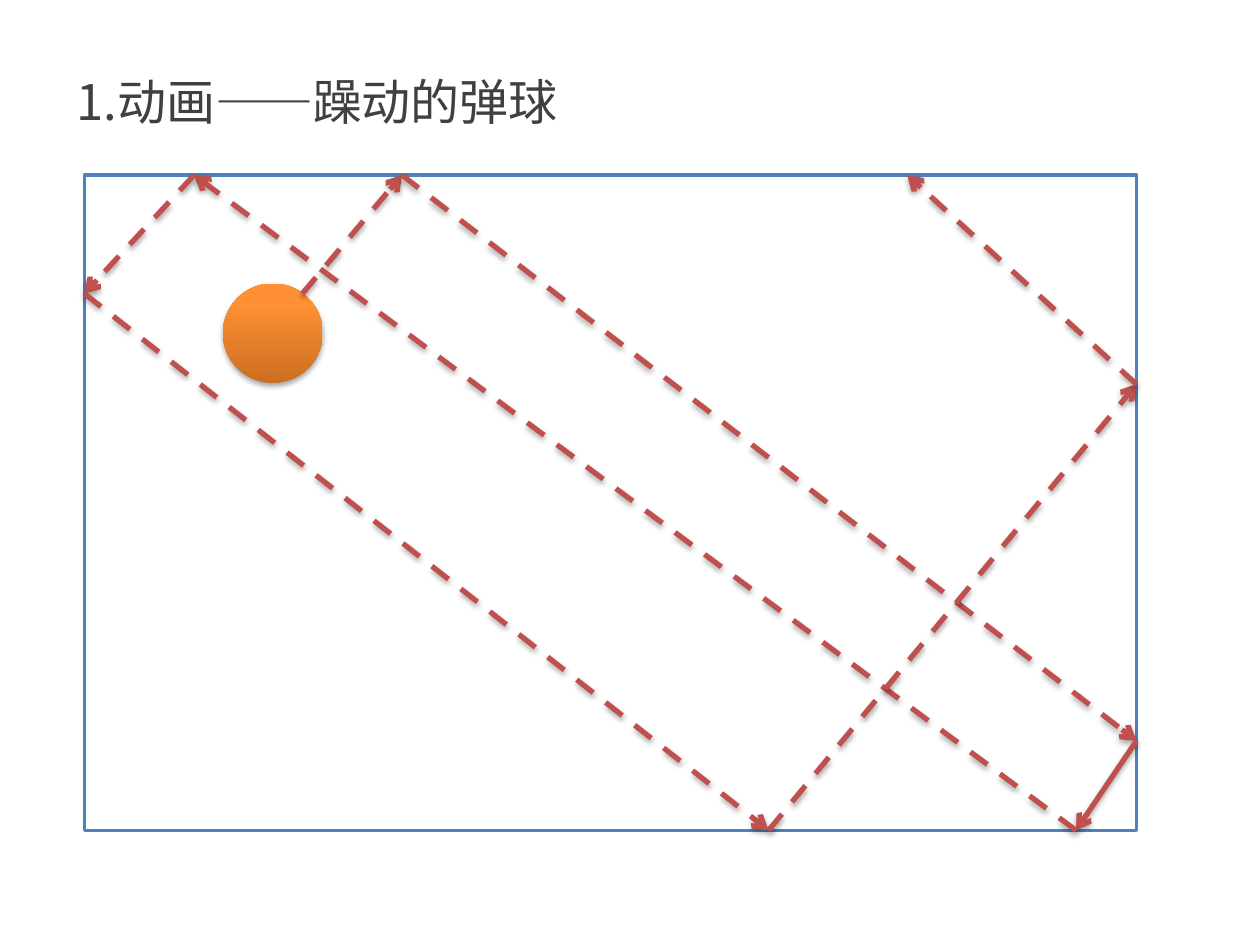
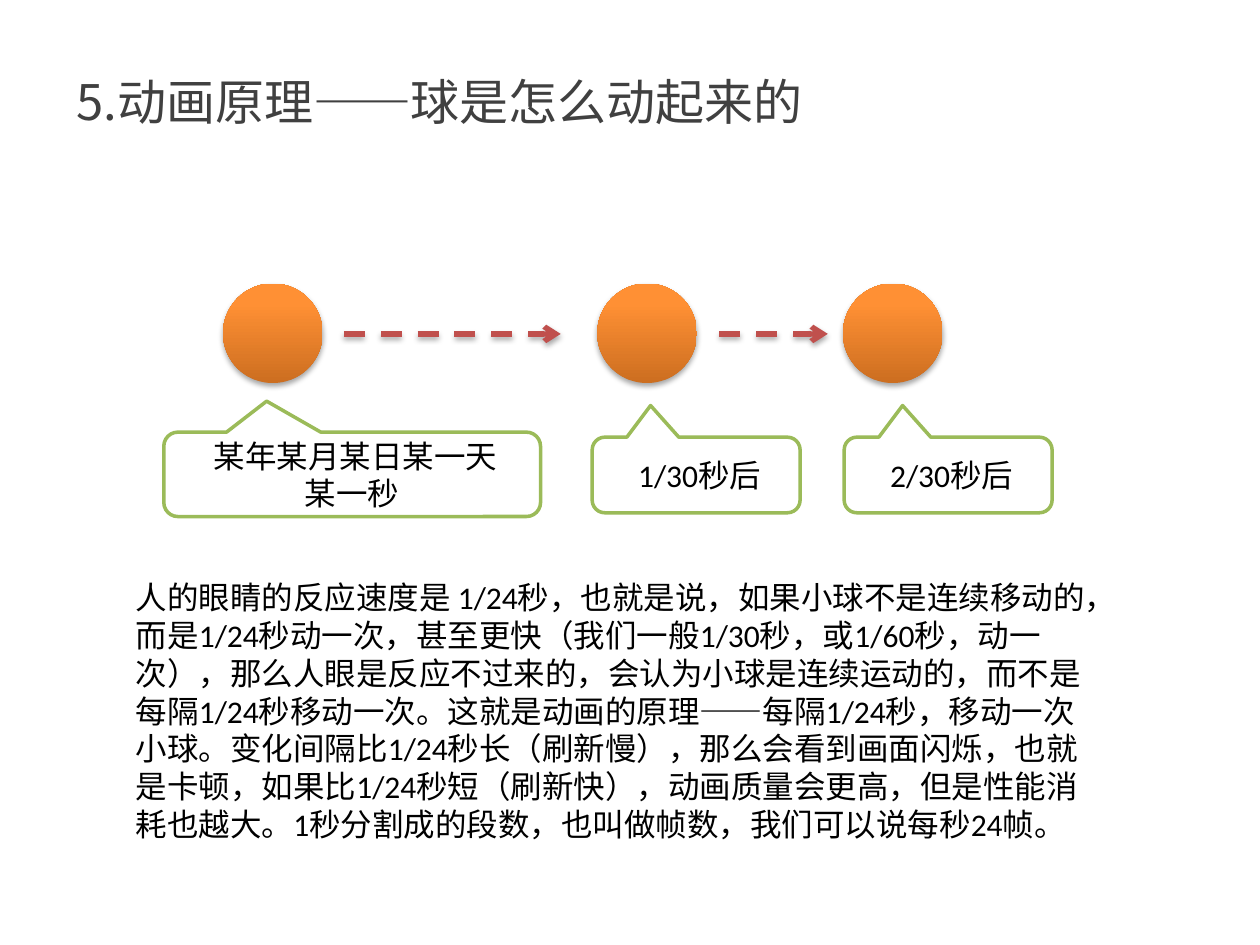
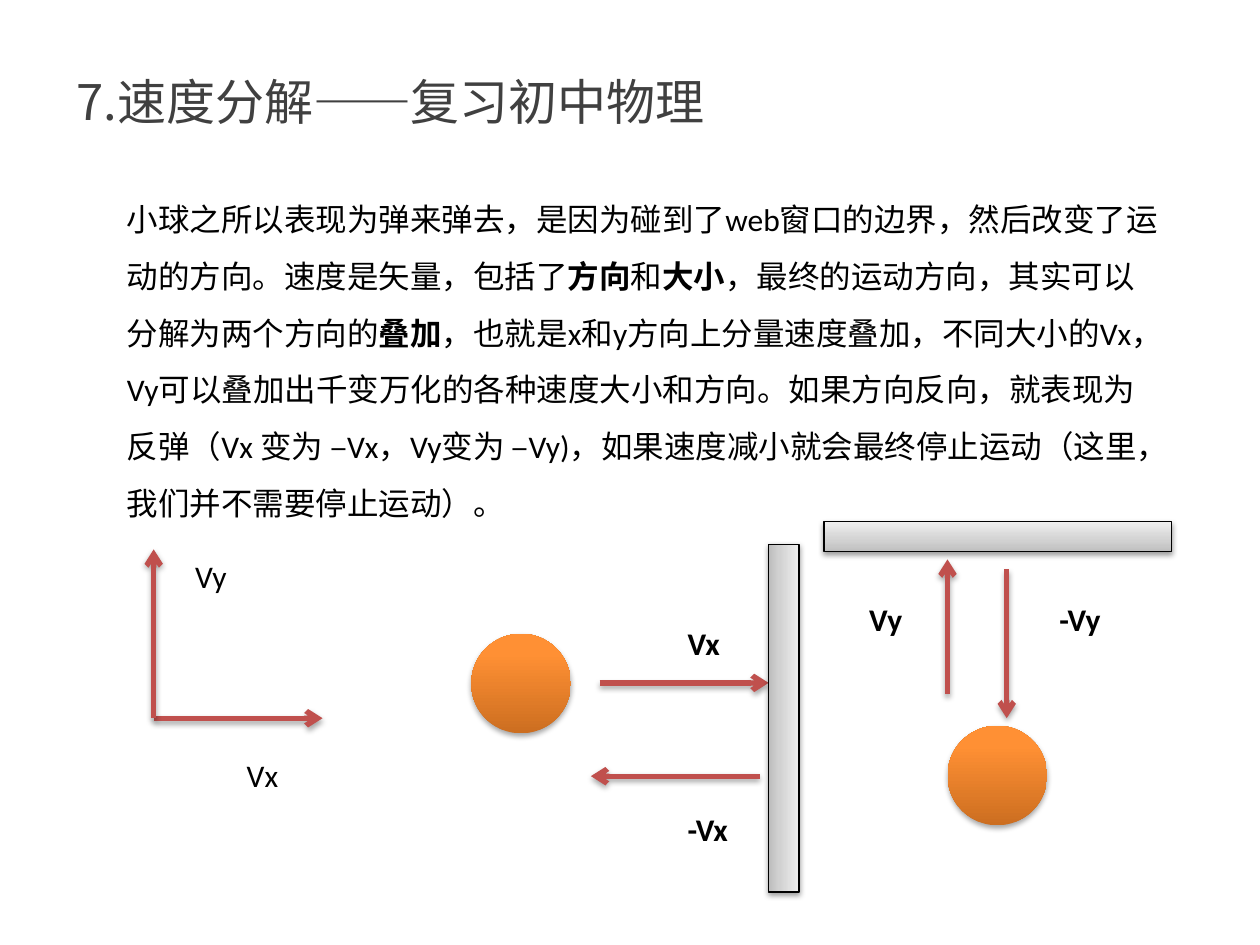
import copy

import lxml.etree
import pptx
import pptx.dml.color
import pptx.enum.dml
import pptx.enum.lang
import pptx.enum.shapes
import pptx.enum.text
import pptx.oxml.ns
import pptx.util

RGBColor = pptx.dml.color.RGBColor
Shape = pptx.enum.shapes.MSO_SHAPE
Align = pptx.enum.text.PP_ALIGN
qn = pptx.oxml.ns.qn

WHITE = RGBColor(0xFF, 0xFF, 0xFF)
BLACK = RGBColor(0x00, 0x00, 0x00)
TITLE_GREY = RGBColor(0x40, 0x40, 0x40)
BLUE = RGBColor(0x4F, 0x81, 0xBD)
RED = RGBColor(0xC0, 0x50, 0x4D)
GREEN = RGBColor(0x9B, 0xBB, 0x59)
BALL_STOPS = (
    (0, RGBColor(0xCC, 0x6E, 0x20)),
    (0.8, RGBColor(0xFF, 0x90, 0x34)),
    (1, RGBColor(0xFF, 0x91, 0x36)),
)
WALL_STOPS = (
    (0, RGBColor(0xBD, 0xBD, 0xBD)),
    (0.35, RGBColor(0xD1, 0xD1, 0xD1)),
    (1, RGBColor(0xEE, 0xEE, 0xEE)),
)
TITLE_FONT = "Noto Sans CJK SC"
BODY_FONT = "Calibri"
COLUMNS, ROWS = 100, 75
BALL = 7.9
WALL_LENGTH, WALL_DEPTH = 27.6, 2.4


def write_text(frame, text, size=18, font=BODY_FONT, color=BLACK, bold=False,
               align=Align.LEFT, spacing=None):
    frame.word_wrap = True
    for index, line in enumerate(text.split("\n")):
        para = frame.add_paragraph() if index else frame.paragraphs[0]
        para.alignment = align
        para.line_spacing = spacing
        for order, part in enumerate(line.split("*")):
            span = para.add_run()
            span.text = part
            span.font.size = pptx.util.Pt(size)
            span.font.name = font
            span.font.bold = bold or order % 2 == 1
            span.font.color.rgb = color
            span.font.language_id = pptx.enum.lang.MSO_LANGUAGE_ID.SIMPLIFIED_CHINESE


class Stage:
    def __init__(self):
        self.deck = pptx.Presentation()
        self.deck.slide_width = pptx.util.Inches(10)
        self.deck.slide_height = pptx.util.Inches(7.5)
        self.page = None

    def x(self, columns):
        return round(self.deck.slide_width * columns / COLUMNS)

    def y(self, rows):
        return round(self.deck.slide_height * rows / ROWS)

    def area(self, left, top, width, height):
        return self.x(left), self.y(top), self.x(width), self.y(height)

    def start(self, title, width=65.4):
        self.page = self.deck.slides.add_slide(self.deck.slide_layouts[6])
        self.text(title, 5.1, 5.2, width, 5.7, size=28, font=TITLE_FONT, color=TITLE_GREY)

    def text(self, text, left, top, width, height, **style):
        box = self.page.shapes.add_textbox(*self.area(left, top, width, height))
        write_text(box.text_frame, text, **style)
        box.text_frame.auto_size = pptx.enum.text.MSO_AUTO_SIZE.SHAPE_TO_FIT_TEXT

    def label(self, text, left, top, bold=True):
        self.text(text, left, top, 6.3, 4, bold=bold)

    def shape(self, kind, left, top, width, height, line=None, weight=2):
        shape = self.page.shapes.add_shape(kind, *self.area(left, top, width, height))
        shape.shadow.inherit = False
        shape.fill.solid()
        shape.fill.fore_color.rgb = WHITE
        if line is None:
            shape.line.fill.background()
        else:
            shape.line.color.rgb = line
            shape.line.width = pptx.util.Pt(weight)
        return shape

    def shade(self, shape, stops):
        shape.fill.gradient()
        shape.fill.gradient_angle = 90
        stop_list = shape.element.spPr.find(".//" + qn("a:gsLst"))
        stop_list.append(copy.deepcopy(stop_list[0]))
        for stop, (position, color) in zip(shape.fill.gradient_stops, stops):
            stop.color.rgb = color
            stop.position = position

    def shadow(self, shape, alpha=35000, distance=23000):
        properties = shape.element.spPr
        effects = properties.find(qn("a:effectLst"))
        if effects is None:
            effects = lxml.etree.SubElement(properties, qn("a:effectLst"))
        outer = lxml.etree.SubElement(
            effects, qn("a:outerShdw"), blurRad="40000", dist=str(distance),
            dir="5400000", rotWithShape="0")
        color = lxml.etree.SubElement(outer, qn("a:srgbClr"), val=str(BLACK))
        lxml.etree.SubElement(color, qn("a:alpha"), val=str(alpha))

    def ball(self, left, top):
        ball = self.shape(Shape.OVAL, left, top, BALL, BALL)
        self.shade(ball, BALL_STOPS)
        self.shadow(ball)

    def wall(self, left, top, rotation=0):
        wall = self.shape(Shape.RECTANGLE, left, top, WALL_LENGTH, WALL_DEPTH, BLACK, 0.75)
        wall.rotation = rotation
        self.shade(wall, WALL_STOPS)
        self.shadow(wall, alpha=38000, distance=20000)

    def callout(self, text, left, top, width, height, tip):
        callout = self.shape(Shape.ROUNDED_RECTANGULAR_CALLOUT, left, top, width, height, GREEN)
        for index, value in enumerate(tip):
            callout.adjustments[index] = value
        callout.text_frame.vertical_anchor = pptx.enum.text.MSO_ANCHOR.MIDDLE
        write_text(callout.text_frame, text, align=Align.CENTER)

    def arrow(self, start, end, dashed=False):
        arrow = self.page.shapes.add_connector(
            pptx.enum.shapes.MSO_CONNECTOR.STRAIGHT,
            self.x(start[0]), self.y(start[1]), self.x(end[0]), self.y(end[1]))
        arrow.line.color.rgb = RED
        arrow.line.width = pptx.util.Pt(3)
        if dashed:
            arrow.line.dash_style = pptx.enum.dml.MSO_LINE.DASH
        outline = arrow.element.spPr.find(qn("a:ln"))
        lxml.etree.SubElement(outline, qn("a:tailEnd"), type="arrow")
        self.shadow(arrow)


stage = Stage()

stage.start("1.动画——躁动的弹球")
left, top, width, height = 6.7, 13.9, 83.5, 52
right, bottom = left + width, top + height
stage.shape(Shape.RECTANGLE, left, top, width, height, BLUE)
stage.ball(17.7, 22.5)
bounces = [(24, 23.3), (31.9, top), (right, 58.8), (85.4, bottom), (15.4, top),
           (left, 23.3), (61, bottom), (right, 30.5), (72, top)]
for index, (start, end) in enumerate(zip(bounces, bounces[1:])):
    stage.arrow(start, end, dashed=index != 2)

stage.start("5.动画原理——球是怎么动起来的")
for column in (17.7, 47.4, 66.9):
    stage.ball(column, 22.5)
stage.callout(" 某年某月某日某一天\n某一秒", 13, 34.3, 29.9, 6.7, (-0.227, -0.867, 0.167))
for step, column in enumerate((47, 67), 1):
    stage.callout(f" {step}/30秒后", column, 34.7, 16.5, 6, (-0.219, -0.919, 0.167))
for start, end in ((27.3, 44.5), (57.1, 65.7)):
    stage.arrow((start, 26.5), (end, 26.5), dashed=True)
stage.text(
    "人的眼睛的反应速度是 1/24秒，也就是说，如果小球不是连续移动的，而是1/24秒动一次，"
    "甚至更快（我们一般1/30秒，或1/60秒，动一次），那么人眼是反应不过来的，"
    "会认为小球是连续运动的，而不是每隔1/24秒移动一次。这就是动画的原理——每隔1/24秒，"
    "移动一次小球。变化间隔比1/24秒长（刷新慢），那么会看到画面闪烁，也就是卡顿，"
    "如果比1/24秒短（刷新快），动画质量会更高，但是性能消耗也越大。"
    "1秒分割成的段数，也叫做帧数，我们可以说每秒24帧。",
    9.8, 45.4, 78.7, 22.2)

stage.start("7.速度分解——复习初中物理", width=85)
stage.text(
    "小球之所以表现为弹来弹去，是因为碰到了web窗口的边界，然后改变了运动的方向。"
    "速度是矢量，包括了*方向*和*大小*，最终的运动方向，其实可以分解为两个方向的*叠加*，"
    "也就是x和y方向上分量速度叠加，不同大小的Vx，Vy可以叠加出千变万化的各种速度大小和方向。"
    "如果方向反向，就表现为反弹（Vx 变为 –Vx，Vy变为 –Vy)，"
    "如果速度减小就会最终停止运动（这里，我们并不需要停止运动）。",
    9.1, 13.9, 84.3, 28.3, spacing=1.5)
for start, end in (
    ((12.2, 57), (25.6, 57)),
    ((12.2, 57), (12.2, 43.6)),
    ((47.6, 54.2), (61, 54.2)),
    ((60.3, 61.6), (46.9, 61.6)),
    ((75.2, 55.1), (75.2, 44.4)),
    ((79.9, 45.2), (79.9, 57)),
):
    stage.arrow(start, end)
stage.ball(37.4, 50.3)
stage.ball(75.2, 57.6)
stage.wall(65.4, 41.4)
stage.wall(48.4, 55.8, rotation=90)
stage.label("Vx", 18.6, 59.5, bold=False)
stage.label("Vy", 14.5, 43.7, bold=False)
stage.label("Vy", 68, 47.1)
stage.label("-Vy", 83.1, 47.1)
stage.label("Vx", 53.6, 49)
stage.label("-Vx", 53.6, 63.8)

stage.deck.save("out.pptx")
